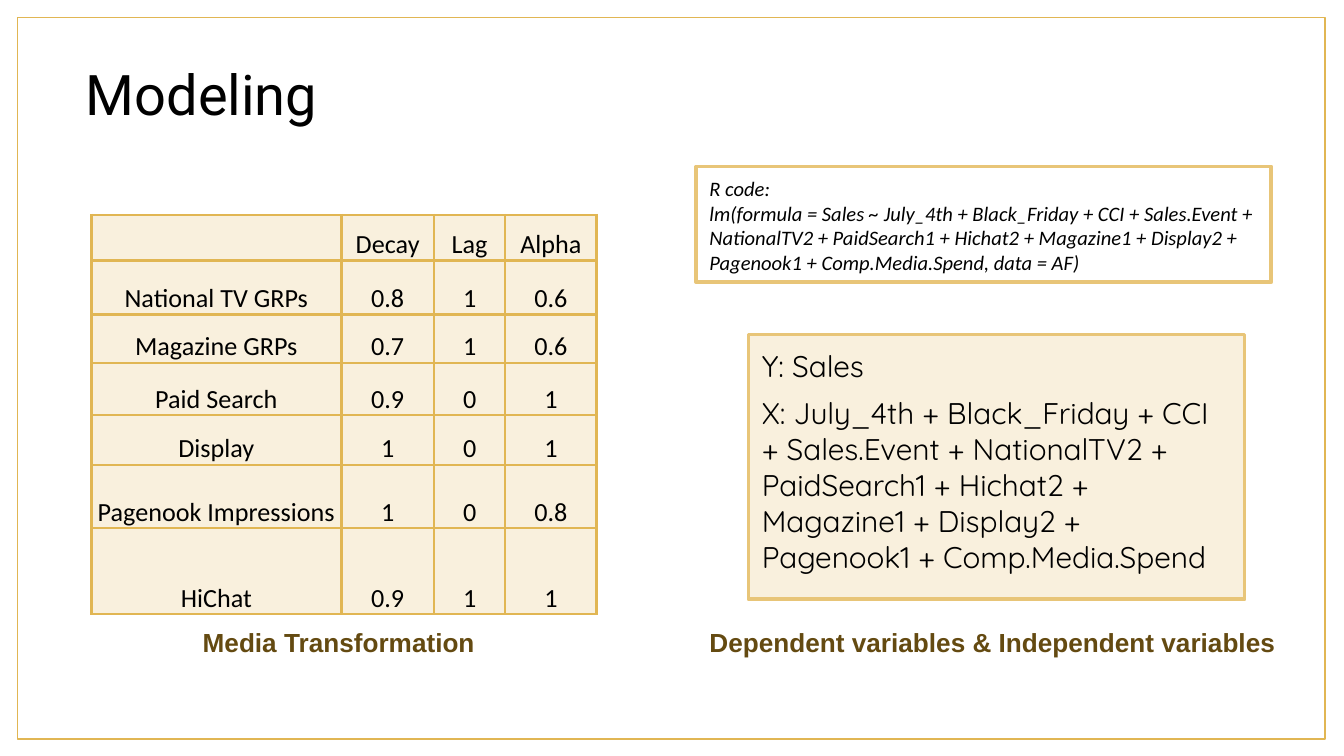
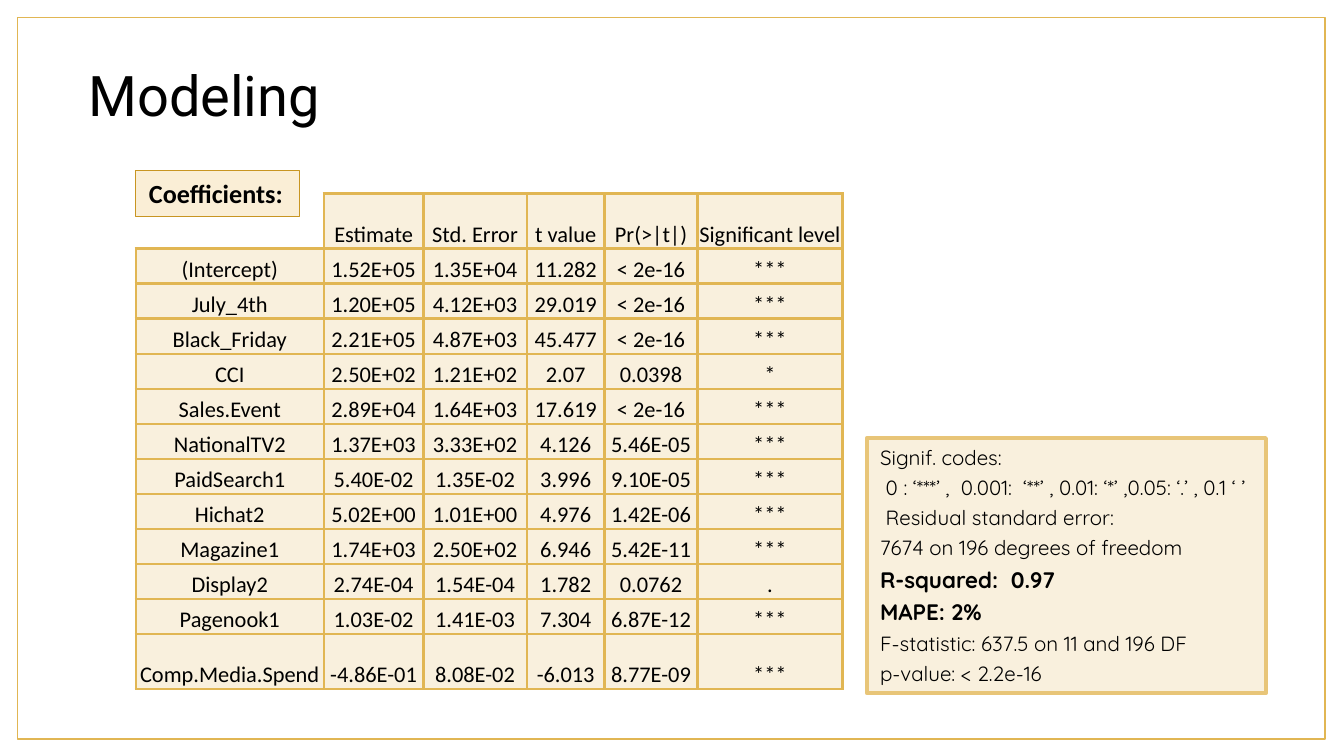
"""Build two slides on a media mix model: its inputs and its coefficients."""
import lxml.etree
import pptx
import pptx.dml.color
import pptx.enum.shapes
import pptx.enum.text
import pptx.oxml.ns
import pptx.util

Inches = pptx.util.Inches
Pt = pptx.util.Pt
ANCHOR = pptx.enum.text.MSO_ANCHOR

GOLD, PALE_GOLD, DARK_GOLD = "E1B653", "E8C578", "C89522"
CREAM, WARM_CREAM = "F9F0DD", "FAEED6"
BLACK, BROWN = "000000", "644A11"

FRAME = (0.13, 0.13, 9.73, 5.37)
TITLE = "Modeling"

MEDIA = [
    ("", "Decay", "Lag", "Alpha"),
    ("National TV GRPs", "0.8", "1", "0.6"),
    ("Magazine GRPs", "0.7", "1", "0.6"),
    ("Paid Search", "0.9", "0", "1"),
    ("Display", "1", "0", "1"),
    ("Pagenook Impressions", "1", "0", "0.8"),
    ("HiChat", "0.9", "1", "1"),
]
MEDIA_COLUMNS = [1.86, 0.69, 0.53, 0.68]
MEDIA_ROWS = [0.34, 0.4, 0.36, 0.39, 0.37, 0.47, 0.64]

PREDICTORS = (
    "July_4th + Black_Friday + CCI + Sales.Event + NationalTV2 + PaidSearch1 + "
    "Hichat2 + Magazine1 + Display2 + Pagenook1 + Comp.Media.Spend"
)
R_CODE = ["R code:", f"lm(formula = Sales ~ {PREDICTORS}, data = AF)"]
VARIABLES = ["Y: Sales", f"X: {PREDICTORS}"]
CAPTIONS = [
    ("Media Transformation", (1.41, 4.61, 2.3, 0.34)),
    ("Dependent variables & Independent variables", (5.18, 4.61, 4.45, 0.34)),
]

COEFFICIENTS = [
    ("", "Estimate", "Std. Error", "t value", "Pr(>|t|)", "Significant level"),
    ("(Intercept)", "1.52E+05", "1.35E+04", "11.282", "< 2e-16", "***"),
    ("July_4th", "1.20E+05", "4.12E+03", "29.019", "< 2e-16", "***"),
    ("Black_Friday", "2.21E+05", "4.87E+03", "45.477", "< 2e-16", "***"),
    ("CCI", "2.50E+02", "1.21E+02", "2.07", "0.0398", "*"),
    ("Sales.Event", "2.89E+04", "1.64E+03", "17.619", "< 2e-16", "***"),
    ("NationalTV2", "1.37E+03", "3.33E+02", "4.126", "5.46E-05", "***"),
    ("PaidSearch1", "5.40E-02", "1.35E-02", "3.996", "9.10E-05", "***"),
    ("Hichat2", "5.02E+00", "1.01E+00", "4.976", "1.42E-06", "***"),
    ("Magazine1", "1.74E+03", "2.50E+02", "6.946", "5.42E-11", "***"),
    ("Display2", "2.74E-04", "1.54E-04", "1.782", "0.0762", "."),
    ("Pagenook1", "1.03E-02", "1.41E-03", "7.304", "6.87E-12", "***"),
    ("Comp.Media.Spend", "-4.86E-01", "8.08E-02", "-6.013", "8.77E-09", "***"),
]
COEFFICIENT_COLUMNS = [1.4, 0.74, 0.77, 0.58, 0.69, 1.08]
COEFFICIENT_HEIGHT, END_ROW = 3.69, 0.41
MIDDLE_ROWS = len(COEFFICIENTS) - 2
MIDDLE_ROW = (COEFFICIENT_HEIGHT - 2 * END_ROW) / MIDDLE_ROWS
COEFFICIENT_ROWS = [END_ROW] + [MIDDLE_ROW] * MIDDLE_ROWS + [END_ROW]

FIT = [
    "Signif. codes:",
    " 0 : ‘***’ ,  0.001:  ‘**’ , 0.01: ‘*’ ,0.05: ‘.’ , 0.1 ‘ ’",
    " Residual standard error:",
    "7674 on 196 degrees of freedom",
    "R-squared:  0.97",
    "MAPE: 2%",
    "F-statistic: 637.5 on 11 and 196 DF",
    "p-value: < 2.2e-16",
]
FIT_HIGHLIGHTS = slice(4, 6)


def color(value):
    return pptx.dml.color.RGBColor.from_string(value)


def style(paragraph, size, font, ink=BLACK, bold=False, italic=False):
    for run in paragraph.runs:
        run.font.size = Pt(size)
        run.font.name = font
        run.font.color.rgb = color(ink)
        run.font.bold = bold
        run.font.italic = italic


def write(shape, lines, size, font, inset=(0.1, 0.05), anchor=ANCHOR.TOP,
          wrap=True, before=0, **look):
    frame = shape.text_frame
    frame.text = "\n".join(lines)
    frame.word_wrap = wrap
    frame.vertical_anchor = anchor
    frame.margin_left = frame.margin_right = Inches(inset[0])
    frame.margin_top = frame.margin_bottom = Inches(inset[1])
    for paragraph in frame.paragraphs:
        paragraph.alignment = pptx.enum.text.PP_ALIGN.LEFT
        paragraph.space_before = Pt(before)
        style(paragraph, size, font, **look)
    return frame


def add_box(slide, place, line, width, fill=None):
    box = slide.shapes.add_shape(
        pptx.enum.shapes.MSO_SHAPE.RECTANGLE, *map(Inches, place))
    box.shadow.inherit = False
    box.line.color.rgb = color(line)
    box.line.width = Pt(width)
    if fill:
        box.fill.solid()
        box.fill.fore_color.rgb = color(fill)
    else:
        box.fill.background()
    return box


def add_text(slide, place, lines, size, font, **options):
    box = slide.shapes.add_textbox(*map(Inches, place))
    write(box, lines, size, font, **options)


def set_borders(cell, hidden=""):
    properties = cell._tc.get_or_add_tcPr()
    qn = pptx.oxml.ns.qn
    for side in "LRTB":
        edge = lxml.etree.SubElement(properties, qn(f"a:ln{side}"), w=str(Pt(1.5)))
        if side in hidden:
            lxml.etree.SubElement(edge, qn("a:noFill"))
        else:
            fill = lxml.etree.SubElement(edge, qn("a:solidFill"))
            lxml.etree.SubElement(fill, qn("a:srgbClr"), val=GOLD)


def add_grid(slide, left, top, rows, widths, heights, size, open_corner=False):
    place = (left, top, sum(widths), sum(heights))
    grid = slide.shapes.add_table(
        len(rows), len(widths), *map(Inches, place)).table
    grid.first_row = grid.horz_banding = False
    for column, width in zip(grid.columns, widths):
        column.width = Inches(width)
    for r, (values, height) in enumerate(zip(rows, heights)):
        grid.rows[r].height = Inches(height)
        for c, value in enumerate(values):
            cell = grid.cell(r, c)
            is_open = open_corner and r == c == 0
            set_borders(cell, "LT" if is_open else "")
            if is_open:
                cell.fill.background()
            else:
                cell.fill.solid()
                cell.fill.fore_color.rgb = color(CREAM)
            cell.margin_left = cell.margin_right = cell.margin_top = Inches(0.01)
            cell.margin_bottom = 0
            cell.vertical_anchor = ANCHOR.BOTTOM
            cell.text_frame.text = value
            paragraph = cell.text_frame.paragraphs[0]
            paragraph.alignment = pptx.enum.text.PP_ALIGN.CENTER
            style(paragraph, size, "Calibri")


def add_slide(deck, title_left, title_top):
    slide = deck.slides.add_slide(deck.slide_layouts[6])
    add_box(slide, FRAME, GOLD, 0.75)
    add_text(slide, (title_left, title_top, 3.64, 0.92), [TITLE], 30, "Roboto",
             inset=(0.1, 0.1), anchor=ANCHOR.BOTTOM)
    return slide


def build_inputs(deck):
    slide = add_slide(deck, 0.54, 0.12)
    add_grid(slide, 0.68, 1.6, MEDIA, MEDIA_COLUMNS, MEDIA_ROWS, 14)
    variables = add_box(slide, (5.57, 2.49, 3.69, 1.97), PALE_GOLD, 2, CREAM)
    frame = write(variables, VARIABLES, 16, "Quicksand", inset=(0.1, 0.1))
    frame.paragraphs[1].space_before = Pt(6)
    for caption, place in CAPTIONS:
        add_text(slide, place, [caption], 14, "Arial", wrap=False,
                 ink=BROWN, bold=True)
    code = add_box(slide, (5.18, 1.24, 4.28, 0.86), PALE_GOLD, 2)
    write(code, R_CODE, 11, "Calibri", inset=(0.1, 0.07), italic=True)


def build_coefficients(deck):
    slide = add_slide(deck, 0.56, 0.13)
    add_grid(slide, 1.01, 1.44, COEFFICIENTS, COEFFICIENT_COLUMNS,
             COEFFICIENT_ROWS, 12, open_corner=True)
    fit = add_box(slide, (6.45, 3.26, 2.97, 1.9), PALE_GOLD, 2, CREAM)
    frame = write(fit, FIT, 11, "Quicksand", before=3)
    for paragraph in frame.paragraphs[FIT_HIGHLIGHTS]:
        style(paragraph, 12, "Quicksand", bold=True)
    heading = add_box(slide, (1.01, 1.27, 1.22, 0.34), DARK_GOLD, 0.75, WARM_CREAM)
    write(heading, ["Coefficients:"], 14, "Calibri", wrap=False, bold=True)


def main():
    deck = pptx.Presentation()
    deck.slide_width = Inches(10)
    deck.slide_height = Inches(10 * 9 / 16)
    build_inputs(deck)
    build_coefficients(deck)
    deck.save("out.pptx")


if __name__ == "__main__":
    main()
